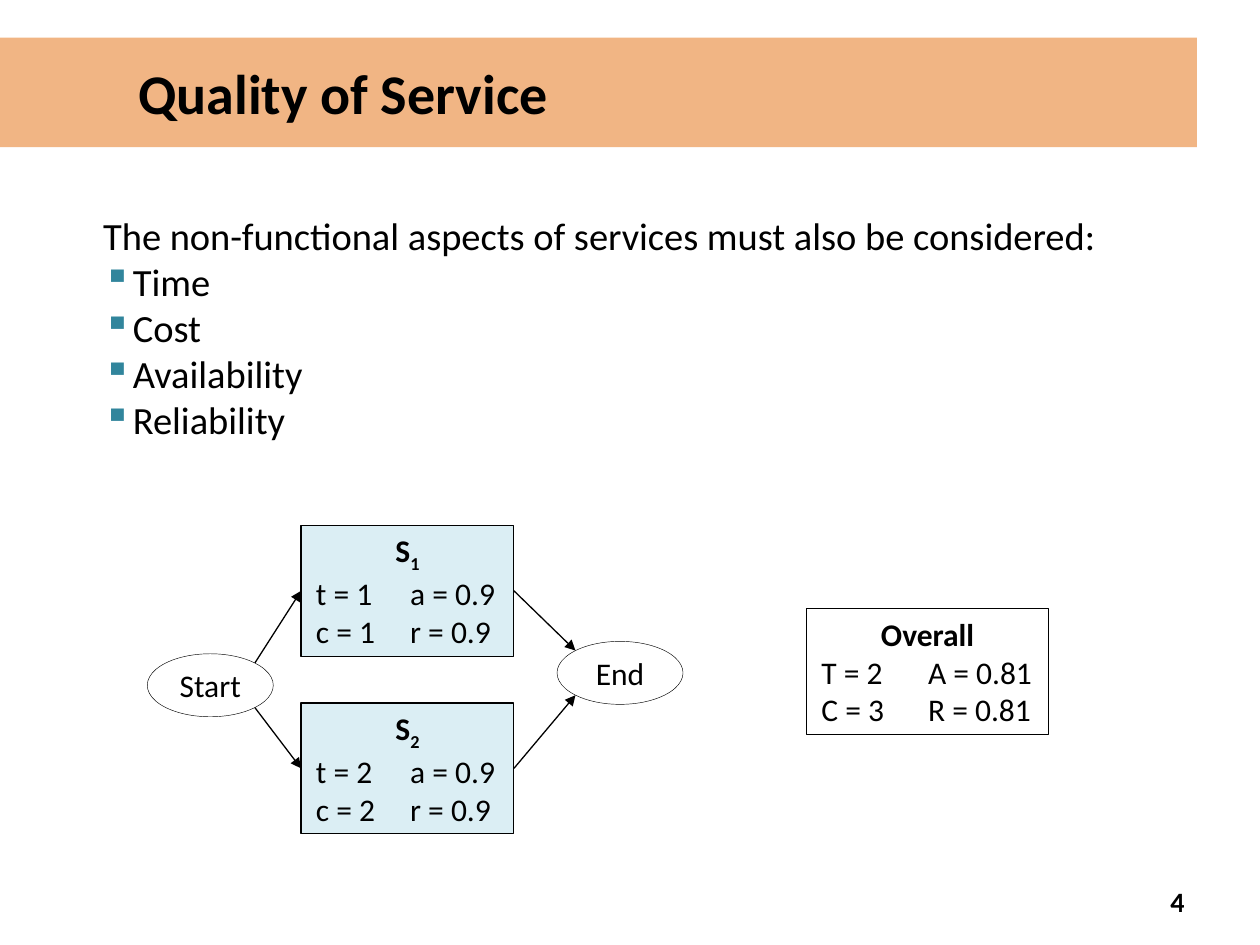
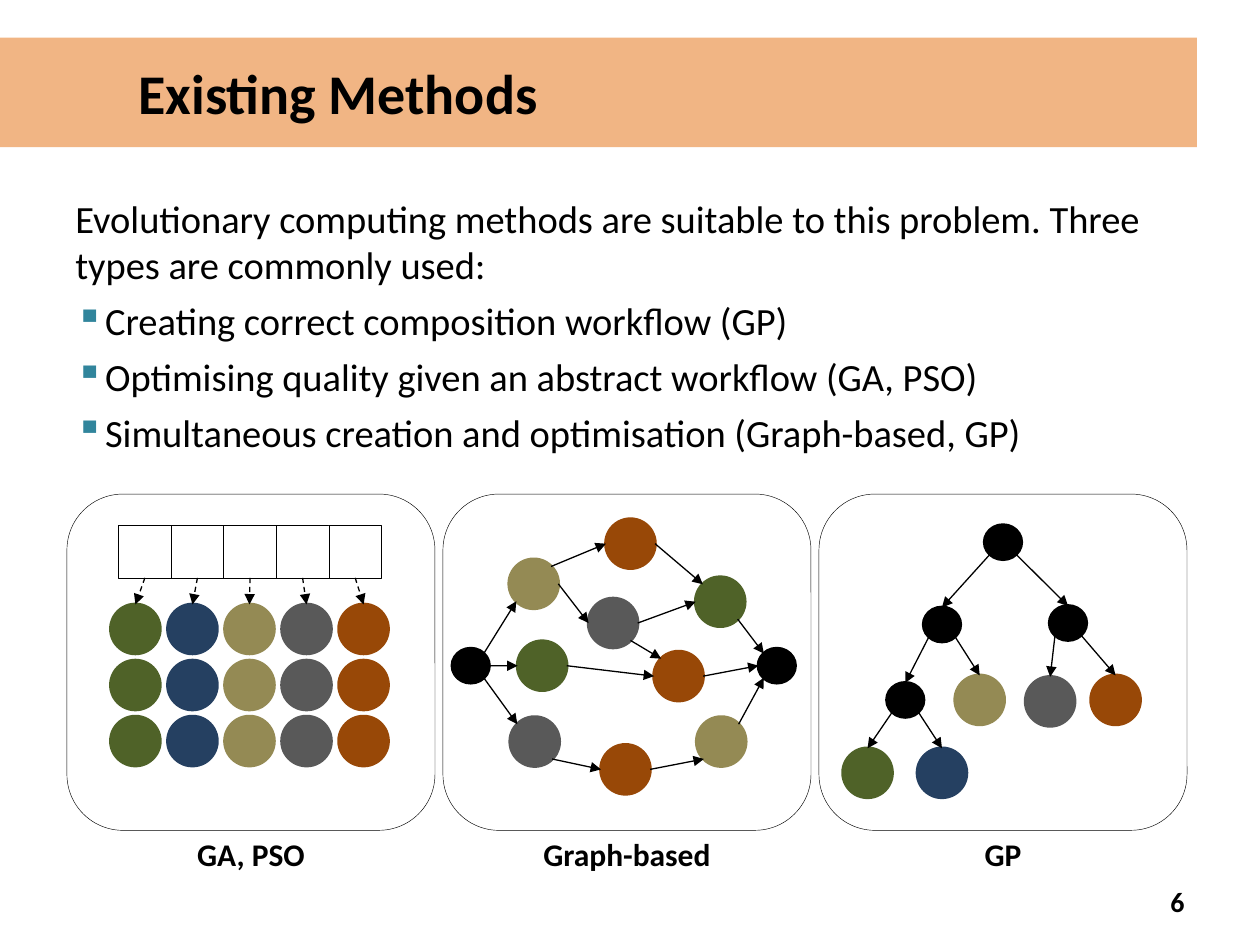
import lxml.etree
import pptx
import pptx.dml.color
import pptx.enum.dml
import pptx.enum.shapes
import pptx.enum.text
import pptx.oxml.ns
import pptx.util

Cm = pptx.util.Cm
Pt = pptx.util.Pt
PRESET = pptx.enum.shapes.MSO_SHAPE
ALIGN = pptx.enum.text.PP_ALIGN
ANCHOR = pptx.enum.text.MSO_ANCHOR

BLACK, WHITE = "000000", "FFFFFF"
ORANGE, TEAL, PALE_BLUE = "E46C0A", "31859C", "DBEEF4"
GREEN, NAVY, TAN, GREY, BROWN = "4F6228", "254061", "948A54", "595959", "984807"

DIAGONAL = 0.5 ** 1.5
SITES = {
    "N": (0.5, 0), "S": (0.5, 1), "W": (0, 0.5), "E": (1, 0.5),
    "NW": (0.5 - DIAGONAL, 0.5 - DIAGONAL), "NE": (0.5 + DIAGONAL, 0.5 - DIAGONAL),
    "SW": (0.5 - DIAGONAL, 0.5 + DIAGONAL), "SE": (0.5 + DIAGONAL, 0.5 + DIAGONAL),
}
RECTANGLE_SIDES = {"N": 0, "W": 1, "S": 2, "E": 3}


def color(value):
    return pptx.dml.color.RGBColor.from_string(value)


def add_element(parent, name, **attributes):
    return lxml.etree.SubElement(parent, pptx.oxml.ns.qn(name), attributes)


def site_point(shape, site):
    across, down = SITES[site]
    return int(shape.left + shape.width * across), int(shape.top + shape.height * down)


class Deck:
    font = "Calibri"
    body_size = 22
    label_size = 18

    def __init__(self):
        self.presentation = pptx.Presentation()
        self.presentation.slide_width = Cm(25.4)
        self.presentation.slide_height = Cm(19.05)
        self.slide = None

    def new_slide(self, title, number):
        self.slide = self.presentation.slides.add_slide(self.presentation.slide_layouts[6])
        band = self.shape(PRESET.RECTANGLE, 0, 0.76, 24.13, 2.21, ORANGE)
        fill_color = band._element.spPr.find(".//" + pptx.oxml.ns.qn("a:srgbClr"))
        add_element(fill_color, "a:alpha", val="50000")
        band.text_frame.margin_left = Cm(2.79)
        self.run(self.paragraph(band, ALIGN.LEFT), title, 32, bold=True)
        page = self.text_box(18.21, 17.65, 5.92, 1.02, ANCHOR.MIDDLE)
        self.run(self.paragraph(page, ALIGN.RIGHT), number, 16, bold=True)

    def shape(self, preset, left, top, width, height, fill, line=None, line_width=0.25):
        shape = self.slide.shapes.add_shape(preset, Cm(left), Cm(top), Cm(width), Cm(height))
        shape.shadow.inherit = False
        shape.fill.solid()
        shape.fill.fore_color.rgb = color(fill)
        if line:
            shape.line.color.rgb = color(line)
            shape.line.width = Pt(line_width)
        else:
            shape.line.fill.background()
        return shape

    def text_box(self, left, top, width, height, anchor=ANCHOR.TOP):
        box = self.slide.shapes.add_textbox(Cm(left), Cm(top), Cm(width), Cm(height))
        box.text_frame.word_wrap = True
        box.text_frame.vertical_anchor = anchor
        return box

    def paragraph(self, shape, alignment):
        paragraph = shape.text_frame.paragraphs[0]
        if paragraph.runs:
            paragraph = shape.text_frame.add_paragraph()
        paragraph.alignment = alignment
        return paragraph

    def run(self, paragraph, text, size, bold=False, subscript=False):
        run = paragraph.add_run()
        run.text = text
        run.font.name = self.font
        run.font.size = Pt(size)
        run.font.bold = bold
        run.font.color.rgb = color(BLACK)
        if subscript:
            run._r.get_or_add_rPr().set("baseline", "-25000")

    def body(self, left, top, width, height, introduction, bullets, space_before=0):
        box = self.text_box(left, top, width, height)
        for index, text in enumerate([introduction] + bullets):
            paragraph = self.paragraph(box, ALIGN.LEFT)
            paragraph.space_before = Pt(space_before)
            if index:
                properties = paragraph._p.get_or_add_pPr()
                properties.set("marL", str(Cm(0.6)))
                properties.set("indent", str(-Cm(0.6)))
                add_element(add_element(properties, "a:buClr"), "a:srgbClr", val=TEAL)
                add_element(properties, "a:buChar", char="▪")
            self.run(paragraph, text, self.body_size)

    def oval(self, left, top, text):
        oval = self.shape(PRESET.OVAL, left, top, 2.54, 1.27, WHITE, BLACK)
        self.run(self.paragraph(oval, ALIGN.CENTER), text, self.label_size)
        return oval

    def quality_box(self, left, top, width, height, fill, heading, rows, tab, subscript=""):
        box = self.shape(PRESET.RECTANGLE, left, top, width, height, fill, BLACK, 0.75)
        frame = box.text_frame
        frame.vertical_anchor = ANCHOR.TOP
        frame.margin_left = frame.margin_right = Cm(0.3)
        paragraph = self.paragraph(box, ALIGN.CENTER)
        self.run(paragraph, heading, self.label_size, bold=True)
        if subscript:
            self.run(paragraph, subscript, self.label_size, bold=True, subscript=True)
        for row in rows:
            paragraph = self.paragraph(box, ALIGN.LEFT)
            tabs = add_element(paragraph._p.get_or_add_pPr(), "a:tabLst")
            add_element(tabs, "a:tab", pos=str(Cm(tab)), algn="l")
            self.run(paragraph, "\t".join(row), self.label_size)
        return box

    def node(self, center_x, center_y, fill):
        width, height = (0.74, 0.69) if fill == BLACK else (0.99, 0.99)
        return self.shape(PRESET.OVAL, center_x - width / 2, center_y - height / 2,
                          width, height, fill, fill, 2)

    def arrow(self, start, start_site, end, end_site, dashed=False):
        connector = self.slide.shapes.add_connector(
            pptx.enum.shapes.MSO_CONNECTOR.STRAIGHT,
            *site_point(start, start_site), *site_point(end, end_site))
        if start.auto_shape_type == PRESET.RECTANGLE:
            connector.begin_connect(start, RECTANGLE_SIDES[start_site])
        if end.auto_shape_type == PRESET.RECTANGLE:
            connector.end_connect(end, RECTANGLE_SIDES[end_site])
        connector.line.color.rgb = color(BLACK)
        connector.line.width = Pt(0.75)
        if dashed:
            connector.line.dash_style = pptx.enum.dml.MSO_LINE.DASH
        add_element(connector.line._get_or_add_ln(), "a:tailEnd", type="triangle")
        add_element(connector._element.spPr, "a:effectLst")

    def network(self, nodes, edges):
        shapes = {name: self.node(*values) for name, values in nodes.items()}
        for start, start_site, end, end_site in edges:
            self.arrow(shapes[start], start_site, shapes[end], end_site)

    def panel(self, left, label):
        width = 7.42
        self.shape(PRESET.ROUNDED_RECTANGLE, left, 9.96, width, 6.78, WHITE, BLACK)
        box = self.text_box(left, 16.71, width, 1.02)
        self.run(self.paragraph(box, ALIGN.CENTER), label, self.label_size, bold=True)


def quality_slide(deck):
    deck.new_slide("Quality of Service", "4")
    deck.body(1.83, 4.14, 22.3, 4.93,
              "The non-functional aspects of services must also be considered:",
              ["Time", "Cost", "Availability", "Reliability"])
    start = deck.oval(2.97, 13.18, "Start")
    end = deck.oval(11.23, 12.93, "End")
    for value, top, start_site, end_site in (("1", 10.59, "NE", "NW"), ("2", 14.17, "SE", "SW")):
        rows = [(f"t = {value}", "a = 0.9"), (f"c = {value}", "r = 0.9")]
        service = deck.quality_box(6.07, top, 4.29, 2.64, PALE_BLUE, "S", rows, 1.9, value)
        deck.arrow(start, start_site, service, "W")
        deck.arrow(service, "E", end, end_site)
    deck.quality_box(16.26, 12.27, 4.88, 2.54, WHITE, "Overall",
                     [("T = 2", "A = 0.81"), ("C = 3", "R = 0.81")], 2.15)


def draw_candidates(deck):
    cell_size = 1.06
    cells = [deck.shape(PRESET.RECTANGLE, 2.39 + column * cell_size, 10.59,
                        cell_size, cell_size, WHITE, BLACK) for column in range(5)]
    deck.slide.shapes.add_group_shape(cells)
    for column, (cell, fill) in enumerate(zip(cells, (GREEN, NAVY, TAN, GREY, BROWN))):
        candidates = [deck.node(2.73 + column * 1.15, 12.68 + row * 1.13, fill)
                      for row in range(3)]
        deck.arrow(cell, "S", candidates[0], "N", dashed=True)


def draw_graph(deck):
    nodes = {
        "start": (9.49, 13.42, BLACK), "end": (15.66, 13.42, BLACK),
        "green left": (10.93, 13.42, GREEN), "green right": (14.52, 12.13, GREEN),
        "tan top": (10.76, 11.77, TAN), "tan bottom": (14.54, 14.95, TAN),
        "grey middle": (12.36, 12.56, GREY), "grey bottom": (10.78, 14.95, GREY),
        "brown top": (12.71, 10.96, BROWN), "brown middle": (13.68, 13.63, BROWN),
        "brown bottom": (12.61, 15.51, BROWN),
    }
    edges = [
        ("start", "NE", "tan top", "SW"), ("start", "E", "green left", "W"),
        ("start", "SE", "grey bottom", "NW"), ("tan top", "NE", "brown top", "W"),
        ("brown top", "E", "green right", "NW"), ("tan top", "E", "grey middle", "W"),
        ("grey middle", "E", "green right", "W"), ("grey middle", "SE", "brown middle", "NW"),
        ("brown middle", "E", "end", "W"), ("green right", "SE", "end", "NW"),
        ("tan bottom", "NE", "end", "SW"), ("brown bottom", "E", "tan bottom", "SW"),
        ("grey bottom", "SE", "brown bottom", "W"), ("green left", "E", "brown middle", "W"),
    ]
    deck.network(nodes, edges)


def draw_tree(deck):
    nodes = {
        "root": (20.22, 10.93, BLACK), "left": (18.99, 12.59, BLACK),
        "right": (21.53, 12.56, BLACK), "lower left": (18.25, 14.11, BLACK),
        "green": (17.49, 15.58, GREEN), "navy": (18.99, 15.58, NAVY),
        "tan": (19.75, 14.11, TAN), "grey": (21.17, 14.14, GREY),
        "brown": (22.49, 14.11, BROWN),
    }
    children = {"root": ("left", "right"), "left": ("lower left", "tan"),
                "right": ("grey", "brown"), "lower left": ("green", "navy")}
    edges = [(parent, site, child, "N") for parent, pair in children.items()
             for site, child in zip(("SW", "SE"), pair)]
    deck.network(nodes, edges)


def methods_slide(deck):
    deck.new_slide("Existing Methods", "6")
    deck.body(1.27, 3.81, 22.86, 6.15,
              "Evolutionary computing methods are suitable to this problem. "
              "Three types are commonly used:",
              ["Creating correct composition workflow (GP)",
               "Optimising quality given an abstract workflow (GA, PSO)",
               "Simultaneous creation and optimisation (Graph-based, GP)"], 5.5)
    for index, label in enumerate(("GA, PSO", "Graph-based", "GP")):
        deck.panel(1.35 + index * 7.58, label)
    draw_candidates(deck)
    draw_graph(deck)
    draw_tree(deck)


def main():
    deck = Deck()
    quality_slide(deck)
    methods_slide(deck)
    deck.presentation.save("out.pptx")


if __name__ == "__main__":
    main()
